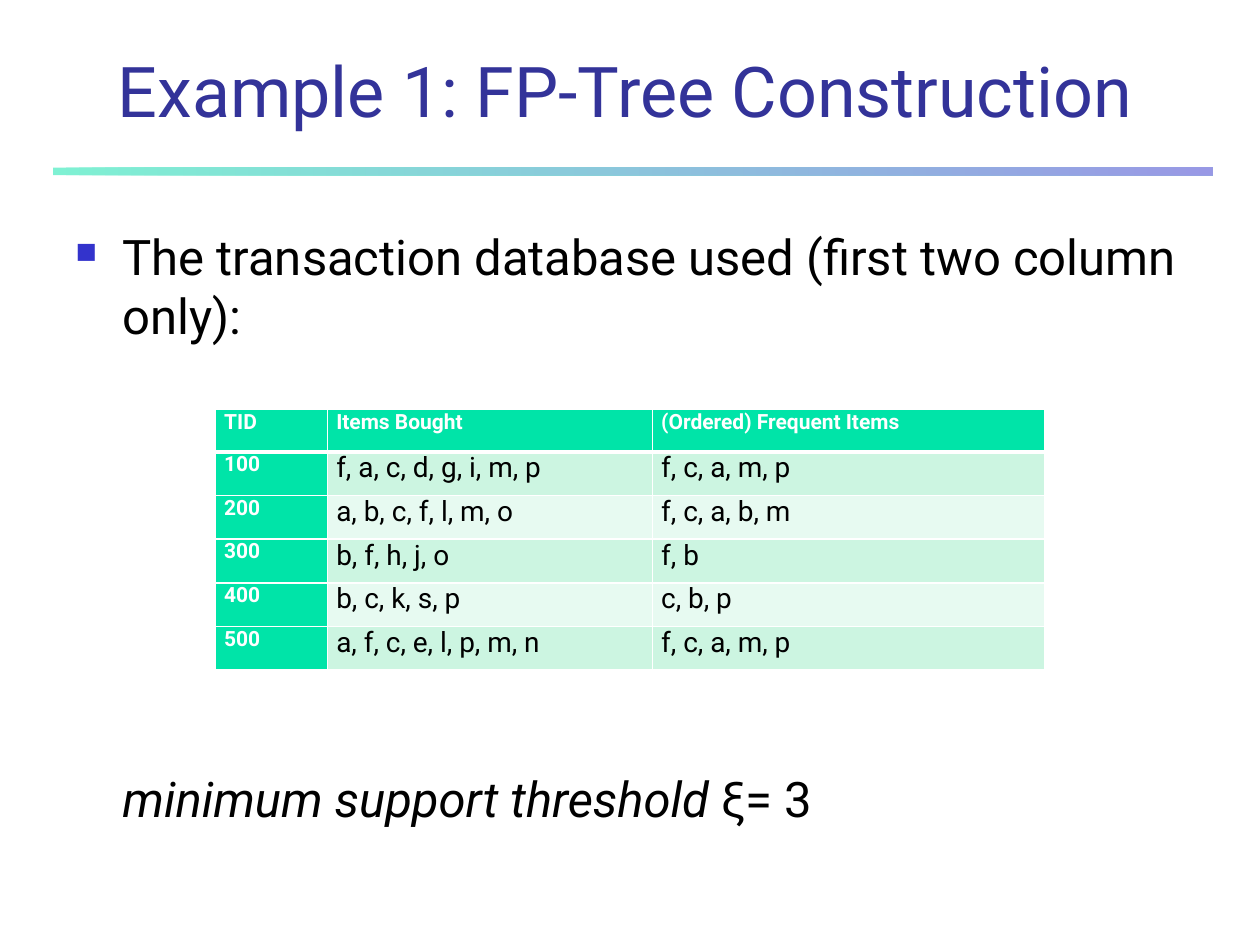
"""Builds the slide that introduces the FP-tree construction example."""
from dataclasses import dataclass

from lxml.etree import SubElement
from pptx import Presentation
from pptx.dml.color import RGBColor
from pptx.enum.shapes import MSO_SHAPE
from pptx.enum.text import MSO_ANCHOR, PP_ALIGN
from pptx.oxml.ns import qn
from pptx.util import Cm, Pt

FONT = "Roboto"
GREEN, BLUE, NAVY = "00E4A8", "3333CC", "333399"
WHITE, BLACK = "FFFFFF", "000000"
BANDS = ("CCF5E1", "E7FAF1")
COLUMN_WIDTHS = (2.26, 6.55, 7.92)
HEADER_HEIGHT, ROW_HEIGHT = 0.85, 0.88


@dataclass(frozen=True)
class Box:
    left: float
    top: float
    width: float
    height: float

    def lengths(self) -> tuple:
        return Cm(self.left), Cm(self.top), Cm(self.width), Cm(self.height)


@dataclass(frozen=True)
class Transaction:
    tid: str
    bought: str
    frequent: str

    def texts(self) -> tuple:
        return self.tid, self.bought, self.frequent


HEADINGS = Transaction("TID", "Items Bought", "(Ordered) Frequent Items")
TRANSACTIONS = (
    Transaction("100", "f, a, c, d, g, i, m, p", "f, c, a, m, p"),
    Transaction("200", "a, b, c, f, l, m, o", "f, c, a, b, m"),
    Transaction("300", "b, f, h, j, o", "f, b"),
    Transaction("400", "b, c, k, s, p", "c, b, p"),
    Transaction("500", "a, f, c, e, l, p, m, n", "f, c, a, m, p"),
)


def color(value: str) -> RGBColor:
    return RGBColor.from_string(value)


def style(run, size: float, hue: str, bold: bool = False, italic: bool = False) -> None:
    run.font.name = FONT
    run.font.size = Pt(size)
    run.font.bold = bold
    run.font.italic = italic
    run.font.color.rgb = color(hue)


def add_text(slide, box: Box, text: str, size: float, hue: str):
    frame = slide.shapes.add_textbox(*box.lengths()).text_frame
    frame.word_wrap = True
    frame.text = text
    style(frame.paragraphs[0].runs[0], size, hue)
    return frame


def add_bullet(paragraph, indent: float) -> None:
    properties = paragraph._p.get_or_add_pPr()
    properties.set("marL", str(Cm(indent)))
    properties.set("indent", str(-Cm(indent)))
    bullet_color = SubElement(properties, qn("a:buClr"))
    SubElement(bullet_color, qn("a:srgbClr"), val=BLUE)
    SubElement(properties, qn("a:buSzPct"), val="60000")
    SubElement(properties, qn("a:buChar"), char="■")


def add_rule(slide, box: Box) -> None:
    rule = slide.shapes.add_shape(MSO_SHAPE.RECTANGLE, *box.lengths())
    rule.shadow.inherit = False
    rule.line.fill.background()
    rule.fill.gradient()
    rule.fill.gradient_angle = 0
    for stop, hue in zip(rule.fill.gradient_stops, (GREEN, BLUE)):
        stop.color.rgb = color(hue)
    for stop_color in rule._element.spPr.iter(qn("a:srgbClr")):
        SubElement(stop_color, qn("a:alpha"), val="50000")


def add_borders(cell, top: float, bottom: float) -> None:
    properties = cell._tc.get_or_add_tcPr()
    for side, width in (("L", 1), ("R", 1), ("T", top), ("B", bottom)):
        border = SubElement(properties, qn(f"a:ln{side}"), w=str(Pt(width)))
        fill = SubElement(border, qn("a:solidFill"))
        SubElement(fill, qn("a:srgbClr"), val=WHITE)


def fill_cell(cell, text: str, row: int, column: int) -> None:
    is_label = row == 0 or column == 0
    cell.margin_left = cell.margin_right = Cm(0.18)
    cell.margin_top = cell.margin_bottom = 0
    add_borders(cell, 3 if row == 1 else 1, 3 if row == 0 else 1)
    cell.fill.solid()
    cell.fill.fore_color.rgb = color(GREEN if is_label else BANDS[(row - 1) % 2])
    cell.text_frame.text = text
    run = cell.text_frame.paragraphs[0].runs[0]
    style(run, 12 if is_label else 16, WHITE if is_label else BLACK, bold=is_label)


def add_transactions(slide, left: float, top: float) -> None:
    rows = (HEADINGS, *TRANSACTIONS)
    box = Box(left, top, sum(COLUMN_WIDTHS), HEADER_HEIGHT + ROW_HEIGHT * len(TRANSACTIONS))
    table = slide.shapes.add_table(len(rows), len(COLUMN_WIDTHS), *box.lengths()).table
    for column, width in zip(table.columns, COLUMN_WIDTHS):
        column.width = Cm(width)
    for row, transaction in enumerate(rows):
        table.rows[row].height = Cm(ROW_HEIGHT if row else HEADER_HEIGHT)
        for column, text in enumerate(transaction.texts()):
            fill_cell(table.cell(row, column), text, row, column)


def main() -> None:
    presentation = Presentation()
    presentation.slide_width, presentation.slide_height = Cm(25.4), Cm(19.05)
    slide = presentation.slides.add_slide(presentation.slide_layouts[6])

    add_rule(slide, Box(1.07, 3.38, 23.37, 0.15))
    title = add_text(slide, Box(1.07, 1.07, 23.06, 1.7),
                     "Example 1: FP-Tree Construction", 40, NAVY)
    title.vertical_anchor = MSO_ANCHOR.BOTTOM
    title.paragraphs[0].alignment = PP_ALIGN.CENTER

    database = add_text(slide, Box(1.27, 4.45, 23.37, 2.8),
                        "The transaction database used (first two column only):", 28, BLACK)
    add_bullet(database.paragraphs[0], 0.95)
    add_transactions(slide, 4.34, 8.26)

    threshold = add_text(slide, Box(2.22, 15.37, 22.42, 1.5),
                         "minimum support threshold ", 28, BLACK)
    threshold.paragraphs[0].runs[0].font.italic = True
    value = threshold.paragraphs[0].add_run()
    value.text = "ξ= 3"
    style(value, 28, BLACK)

    presentation.save("out.pptx")


if __name__ == "__main__":
    main()
